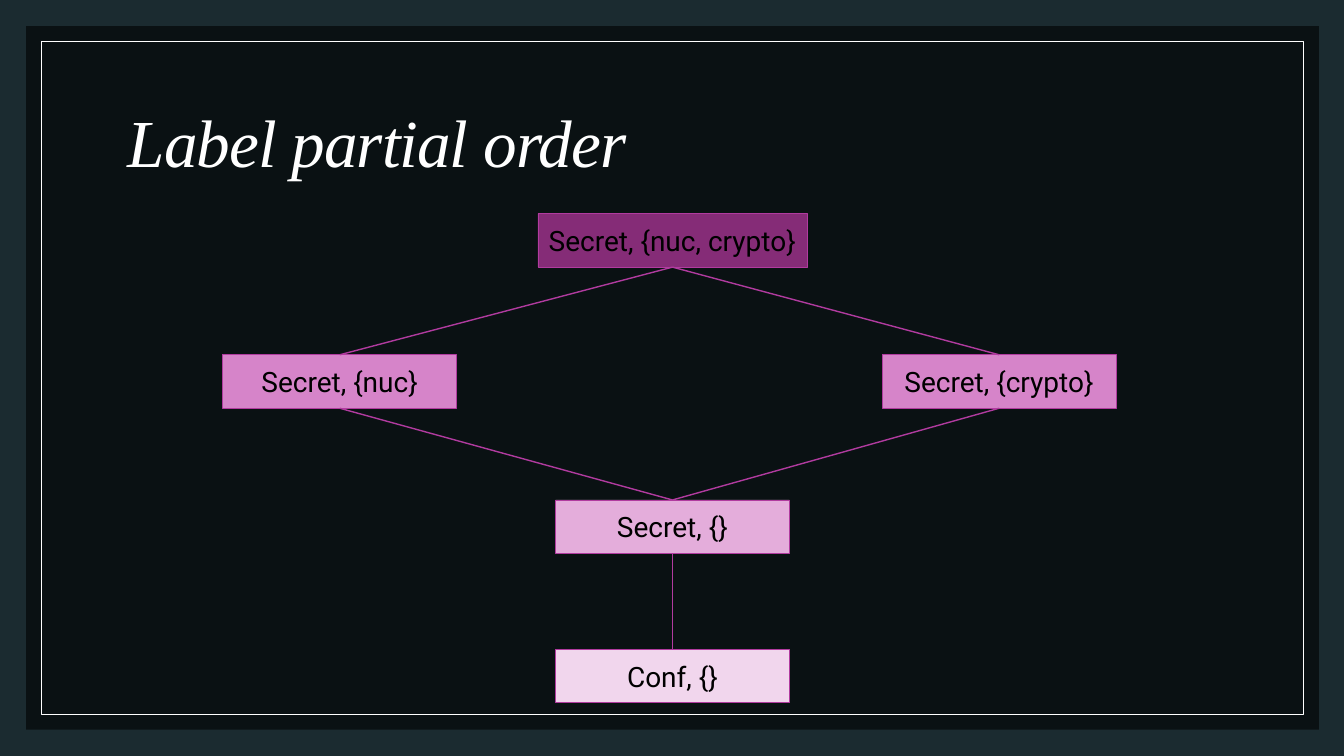
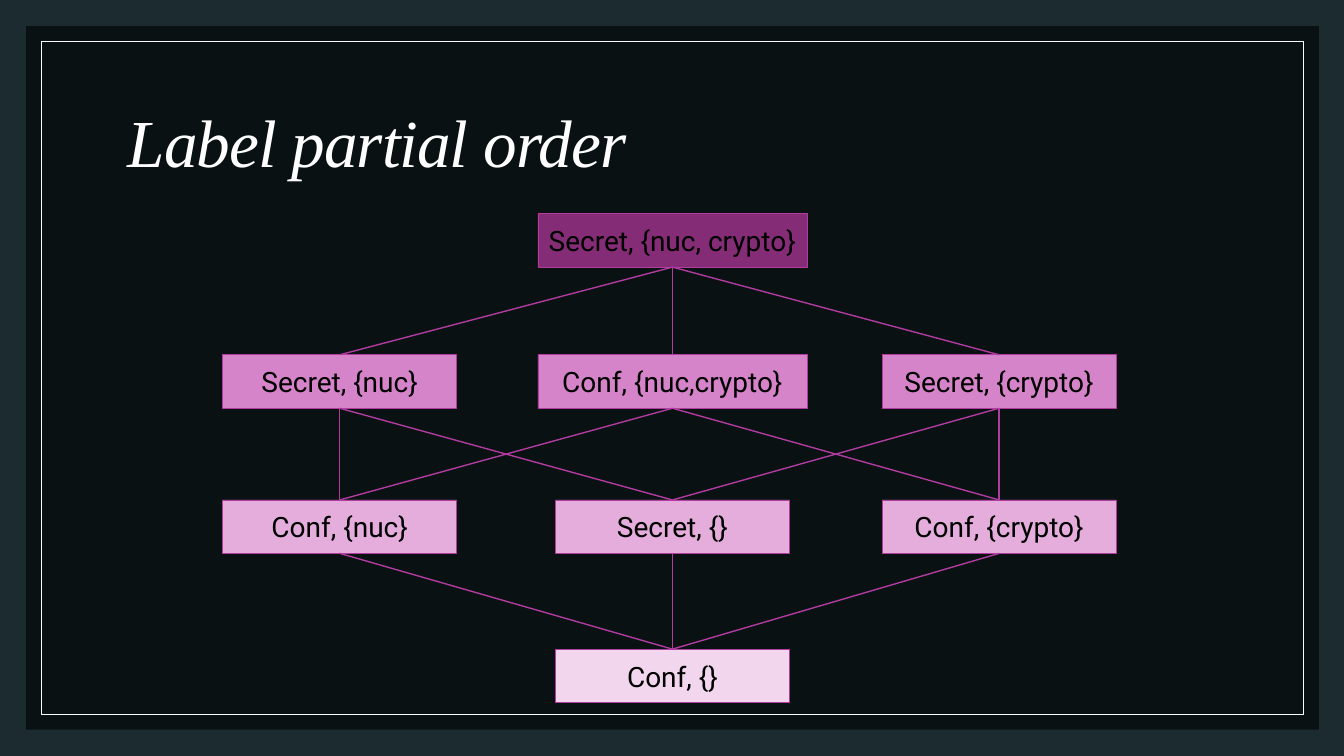
import pptx
import pptx.util
import pptx.dml.color
import pptx.enum.shapes
import pptx.enum.text
import pptx.oxml.ns
from lxml import etree

Inches, Pt = pptx.util.Inches, pptx.util.Pt
qn = pptx.oxml.ns.qn
ALIGN = pptx.enum.text.PP_ALIGN

COLORS = {
    "back": "1B2B30", "black": "000000", "white": "FFFFFF", "line": "B13B9F",
    "top": "852C77", "upper": "D684C9", "lower": "E4ADDB", "base": "F1D6ED",
}
TITLE = dict(font="Times New Roman", size=48, color="white", italic=True,
             spacing=0.9, track=-70)
LABEL = dict(font="Roboto", size=20, color="black", align=ALIGN.CENTER)

# Lattice: column centers, and the top edge and fill of each row
CENTERS = (3.37, 6.67, 9.91)
ROWS = ((2.12, "top"), (3.52, "upper"), (4.96, "lower"), (6.44, "base"))
HEIGHT, NARROW, WIDE = 0.53, 2.32, 2.67

# Each node: label -> (column, row, width)
DIAMOND = {
    "Secret, {nuc, crypto}": (1, 0, WIDE),
    "Secret, {nuc}": (0, 1, NARROW),
    "Secret, {crypto}": (2, 1, NARROW),
    "Secret, {}": (1, 2, NARROW),
    "Conf, {}": (1, 3, NARROW),
}
FULL = DIAMOND | {
    "Conf, {nuc,crypto}": (1, 1, WIDE),
    "Conf, {nuc}": (0, 2, NARROW),
    "Conf, {crypto}": (2, 2, NARROW),
}

# Each link: (greater label, lesser label)
DIAMOND_LINKS = [
    ("Secret, {nuc, crypto}", "Secret, {nuc}"),
    ("Secret, {nuc, crypto}", "Secret, {crypto}"),
    ("Secret, {nuc}", "Secret, {}"),
    ("Secret, {crypto}", "Secret, {}"),
    ("Secret, {}", "Conf, {}"),
]
FULL_LINKS = DIAMOND_LINKS + [
    ("Secret, {nuc, crypto}", "Conf, {nuc,crypto}"),
    ("Secret, {nuc}", "Conf, {nuc}"),
    ("Secret, {crypto}", "Conf, {crypto}"),
    ("Conf, {nuc,crypto}", "Conf, {nuc}"),
    ("Conf, {nuc,crypto}", "Conf, {crypto}"),
    ("Conf, {nuc}", "Conf, {}"),
    ("Conf, {crypto}", "Conf, {}"),
]


def rgb(name):
    return pptx.dml.color.RGBColor.from_string(COLORS[name])


def write(shape, text, *, font, size, color, italic=False,
          align=ALIGN.LEFT, spacing=1.0, track=0, wrap=True):
    """Put one formatted line of text in a shape."""
    frame = shape.text_frame
    frame.word_wrap = wrap
    frame.vertical_anchor = pptx.enum.text.MSO_ANCHOR.MIDDLE
    para = frame.paragraphs[0]
    para.alignment, para.line_spacing = align, spacing
    run = para.add_run()
    run.text = text
    run.font.name, run.font.size = font, Pt(size)
    run.font.italic = italic
    run.font.color.rgb = rgb(color)
    if track:
        run.font._element.set("spc", str(track))


def add_box(slide, left, top, width, height, fill=None, line=None, alpha=None):
    """Draw a rectangle; alpha is the fill's opacity in percent."""
    box = slide.shapes.add_shape(
        pptx.enum.shapes.MSO_SHAPE.RECTANGLE,
        Inches(left), Inches(top), Inches(width), Inches(height))
    box.shadow.inherit = False
    if fill:
        box.fill.solid()
        box.fill.fore_color.rgb = rgb(fill)
    else:
        box.fill.background()
    if alpha:
        tint = box._element.spPr.find(".//" + qn("a:srgbClr"))
        etree.SubElement(tint, qn("a:alpha")).set("val", str(alpha * 1000))
    if line:
        box.line.color.rgb = rgb(line)
        box.line.width = Pt(0.5)
    else:
        box.line.fill.background()
    return box


def add_link(slide, lesser, greater):
    """Join the top of one box to the bottom of another."""
    link = slide.shapes.add_connector(
        pptx.enum.shapes.MSO_CONNECTOR.STRAIGHT, 0, 0, 0, 0)
    link.begin_connect(lesser, 0)
    link.end_connect(greater, 2)
    link.line.color.rgb = rgb("line")
    link.line.width = Pt(1)
    etree.SubElement(link._element.spPr, qn("a:effectLst"))


def add_page(deck, title):
    """Add a slide with the shared background, frame and title."""
    slide = deck.slides.add_slide(deck.slide_layouts[6])
    slide.background.fill.solid()
    slide.background.fill.fore_color.rgb = rgb("back")
    add_box(slide, 0.26, 0.26, 12.82, 6.98, fill="black", alpha=60)
    add_box(slide, 0.41, 0.41, 12.52, 6.68, line="white")
    head = slide.shapes.add_textbox(
        Inches(1.17), Inches(0.7), Inches(11), Inches(1.5))
    write(head, title, **TITLE)
    return slide


def add_order(slide, nodes, links):
    """Draw the labels of a partial order and the links between them."""
    boxes = {}
    for label, (col, row, width) in nodes.items():
        top, fill = ROWS[row]
        box = add_box(slide, CENTERS[col] - width / 2, top, width, HEIGHT,
                      fill=fill, line="line")
        write(box, label, wrap=False, **LABEL)
        boxes[label] = box
    for greater, lesser in links:
        add_link(slide, boxes[lesser], boxes[greater])


def main():
    deck = pptx.Presentation()
    deck.slide_width, deck.slide_height = Inches(13.33), Inches(7.5)
    for nodes, links in ((DIAMOND, DIAMOND_LINKS), (FULL, FULL_LINKS)):
        add_order(add_page(deck, "Label partial order"), nodes, links)
    deck.save("out.pptx")


if __name__ == "__main__":
    main()
